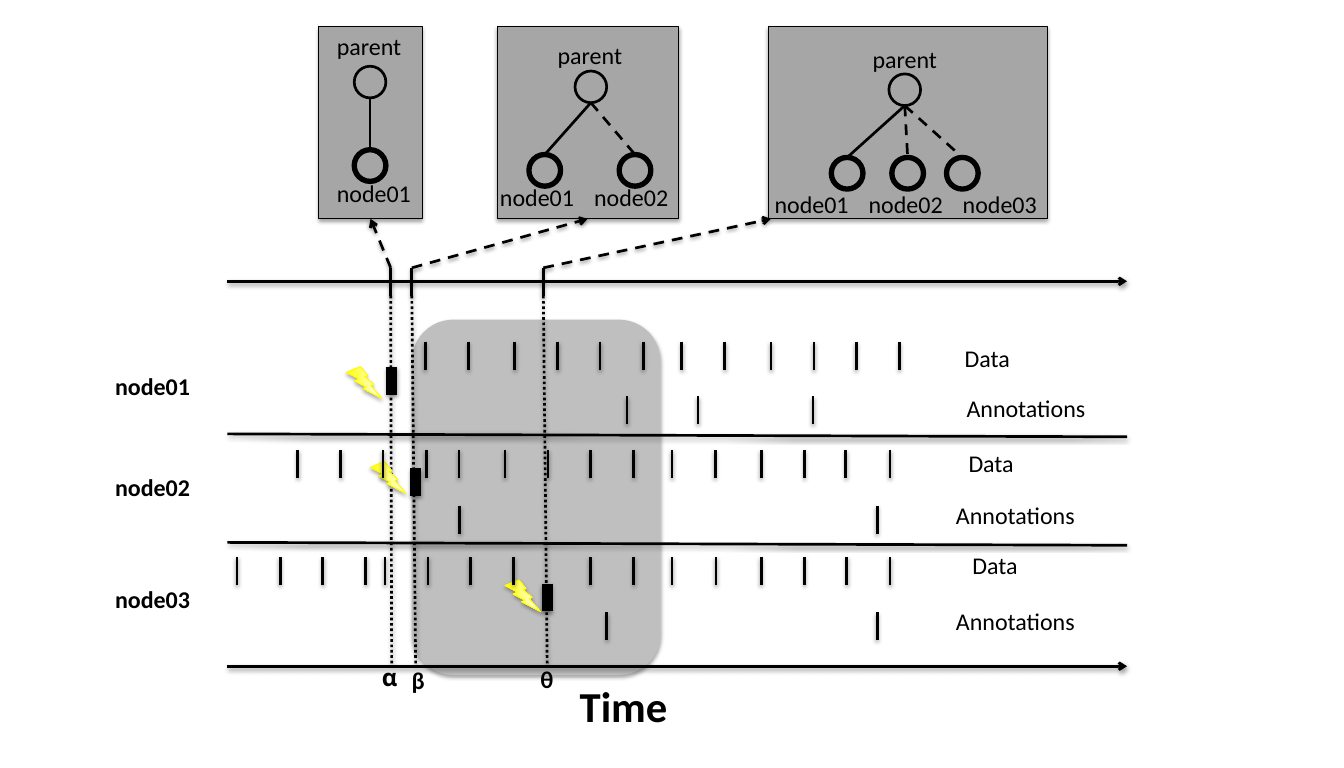
from lxml import etree
from pptx import Presentation
from pptx.dml.color import RGBColor
from pptx.enum.dml import MSO_LINE
from pptx.enum.shapes import MSO_CONNECTOR, MSO_SHAPE
from pptx.enum.text import MSO_AUTO_SIZE
from pptx.oxml.ns import qn
from pptx.util import Inches, Pt

STRAIGHT = MSO_CONNECTOR.STRAIGHT
RECT, ROUND = MSO_SHAPE.RECTANGLE, MSO_SHAPE.ROUNDED_RECTANGLE
OVAL, BOLT = MSO_SHAPE.OVAL, MSO_SHAPE.LIGHTNING_BOLT
DASH, DOT = MSO_LINE.DASH, MSO_LINE.ROUND_DOT
FIT = MSO_AUTO_SIZE.SHAPE_TO_FIT_TEXT

COLORS = {"black": "000000", "panel": "A6A6A6", "window": "BFBFBF",
          "edge": "EEECE1", "yellow": "FFFF00", "white": "FFFFFF"}


def rgb(name):
    return RGBColor.from_string(COLORS[name])


class Diagram:
    def __init__(self, slide, font="Calibri", size=18):
        self.s, self.font, self.size = slide, font, size

    def effects(self, sp, alpha=0, dist=0):
        """Add an effect list, with a soft drop shadow if alpha is given."""
        effects = etree.SubElement(sp._element.spPr, qn("a:effectLst"))
        if alpha:
            shadow = etree.SubElement(effects, qn("a:outerShdw"),
                                      blurRad=str(Pt(3.1)), dist=str(Pt(dist)),
                                      dir="5400000", rotWithShape="0")
            color = etree.SubElement(shadow, qn("a:srgbClr"), val=COLORS["black"])
            etree.SubElement(color, qn("a:alpha"), val=str(alpha * 1000))

    def line(self, x1, y1, x2, y2, width=2, dash=None, arrow=False, shadow=True):
        c = self.s.shapes.add_connector(STRAIGHT, Inches(x1), Inches(y1),
                                        Inches(x2), Inches(y2))
        c.line.color.rgb = rgb("black")
        c.line.width = Pt(width)
        if dash:
            c.line.dash_style = dash
        if arrow:
            etree.SubElement(c.line._get_or_add_ln(), qn("a:tailEnd"), type="arrow")
        self.effects(c, 38 if shadow else 0, 1.6)

    def shape(self, kind, x, y, w, h, fill=None, edge="black", width=0.75,
              shadow=True):
        sp = self.s.shapes.add_shape(kind, Inches(x), Inches(y), Inches(w), Inches(h))
        if fill:
            sp.fill.solid()
            sp.fill.fore_color.rgb = rgb(fill)
        else:
            sp.fill.background()
        sp.line.color.rgb = rgb(edge)
        sp.line.width = Pt(width)
        self.effects(sp, 35 if shadow else 0, 1.8)
        return sp

    def bolt(self, x, y):
        sp = self.shape(BOLT, x, y, 0.37, 0.33, edge="yellow")
        sp.fill.gradient()
        sp.fill.gradient_angle = 0
        for stop, color in zip(sp.fill.gradient_stops, ("yellow", "white")):
            stop.color.rgb = rgb(color)

    def node(self, cx, y, fill=None, width=2):
        self.shape(OVAL, cx - 0.165, y, 0.33, 0.33, fill, width=width, shadow=False)

    def text(self, words, x, y, w, h=0.4, bold=False, size=None, font=None):
        tf = self.s.shapes.add_textbox(Inches(x), Inches(y),
                                       Inches(w), Inches(h)).text_frame
        tf.word_wrap = False
        tf.auto_size = FIT
        r = tf.paragraphs[0].add_run()
        r.text = words
        r.font.name = font or self.font
        r.font.size = Pt(size or self.size)
        r.font.bold = bold
        r.font.color.rgb = rgb("black")


# Tree panels: left, width, parent (x, y, label x, label y),
# children y, label y, child (x, label x)
PANELS = [
    (3.32, 1.08, (3.855, 0.69, 3.41, 0.28), 1.56, 1.81, [(3.855, 3.41)]),
    (5.18, 1.89, (6.155, 0.74, 5.71, 0.37), 1.61, 1.85,
     [(5.675, 5.11), (6.615, 6.09)]),
    (8.00, 2.91, (9.425, 0.77, 8.99, 0.41), 1.64, 1.93,
     [(8.825, 7.97), (9.455, 8.95), (10.025, 9.93)]),
]

# Start events: symbol, label (x, y, width), font, top x, bottom x,
# mark y, bolt (x, y), arrow end x
EVENTS = [
    ("α", (3.88, 6.85, 0.39), "Noto Sans", 4.07, 4.08, 3.82, (3.61, 3.82), 3.86),
    ("β", (4.19, 6.88, 0.34), "Calibri", 4.29, 4.33, 4.88, (3.86, 4.81), 6.12),
    ("θ", (5.53, 6.87, 0.34), "Calibri", 5.66, 5.70, 6.08, (5.26, 6.04), 8.03),
]

# Timelines: name, label y, data y, data ticks, annotation y, annotation ticks,
# data label (x, y), annotation label (x, y)
ROWS = [
    ("node01", 3.82, 3.56,
     [4.43, 4.88, 5.36, 5.81, 6.25, 6.7, 7.1, 7.55, 8.03, 8.48, 8.92, 9.37],
     4.13, [6.53, 7.27, 8.47], (9.95, 3.53), (9.97, 4.05)),
    ("node02", 4.87, 4.69,
     [3.1, 3.55, 3.99, 4.44, 4.78, 5.26, 5.71, 6.15, 6.6, 7, 7.45, 7.93,
      8.38, 8.81, 9.27],
     5.27, [4.79, 9.14], (9.99, 4.62), (9.86, 5.16)),
    ("node03", 6.04, 5.8,
     [2.47, 2.92, 3.36, 3.81, 4.01, 4.46, 4.9, 5.35, 6.15, 6.6, 7, 7.46,
      7.93, 8.38, 8.82, 9.27],
     6.38, [6.32, 9.14], (10.03, 5.69), (9.86, 6.27)),
]
AXIS_LEFT, AXIS_RIGHT = 2.37, 11.74
AXIS_TOP, AXIS_BOTTOM, TICK = 2.93, 6.94, 0.29
PANEL_TOP, PANEL_HEIGHT = 0.28, 2

prs = Presentation()
prs.slide_width, prs.slide_height = Inches(14), Inches(8)
d = Diagram(prs.slides.add_slide(prs.slide_layouts[6]))

# Shared time window, with a nearly transparent edge
window = d.shape(ROUND, 4.29, 3.33, 2.59, 3.7, "window", "edge")
edge_color = window.line._get_or_add_ln().find(".//" + qn("a:srgbClr"))
etree.SubElement(edge_color, qn("a:alpha"), val="10000")

# Axes and row separators
for y in (AXIS_TOP, AXIS_BOTTOM):
    d.line(AXIS_LEFT, y, AXIS_RIGHT, y, arrow=True)
for y in (4.52, 5.65):
    d.line(AXIS_LEFT, y, AXIS_RIGHT, y + 0.03)

# Tree panels
for x, w, (px, py, label_x, label_y), child_y, name_y, children in PANELS:
    d.shape(RECT, x, PANEL_TOP, w, PANEL_HEIGHT, "panel")
    d.node(px, py)
    d.text("parent", label_x, label_y, 0.89)
    for i, (cx, name_x) in enumerate(children):
        d.line(px, py + 0.33, cx, child_y, dash=DASH if i else None, shadow=False)
        d.node(cx, child_y, "panel", 4)
        d.text(f"node{i + 1:02}", name_x, name_y, 0.98)

# Start events
for symbol, label, font, top_x, low_x, mark_y, bolt, end_x in EVENTS:
    d.line(top_x, 2.79, top_x, 2.79 + TICK)
    d.line(top_x, 2.79, end_x, PANEL_TOP + PANEL_HEIGHT, dash=DASH, arrow=True)
    d.line(top_x, 3.08, low_x, AXIS_BOTTOM, dash=DOT)
    d.line(low_x, mark_y, low_x, mark_y + TICK, width=8)
    d.bolt(*bolt)
    d.text(symbol, *label, bold=True, font=font)

# Node timelines
for name, name_y, data_y, data, note_y, notes, data_at, note_at in ROWS:
    d.text(name, 1.1, name_y, 0.99, bold=True)
    for y, ticks in ((data_y, data), (note_y, notes)):
        for x in ticks:
            d.line(x, y, x, y + TICK)
    d.text("Data", *data_at, 0.68)
    d.text("Annotations", *note_at, 1.46)

d.text("Time", 5.94, 7.03, 1.13, 0.64, bold=True, size=32)

prs.save("out.pptx")
